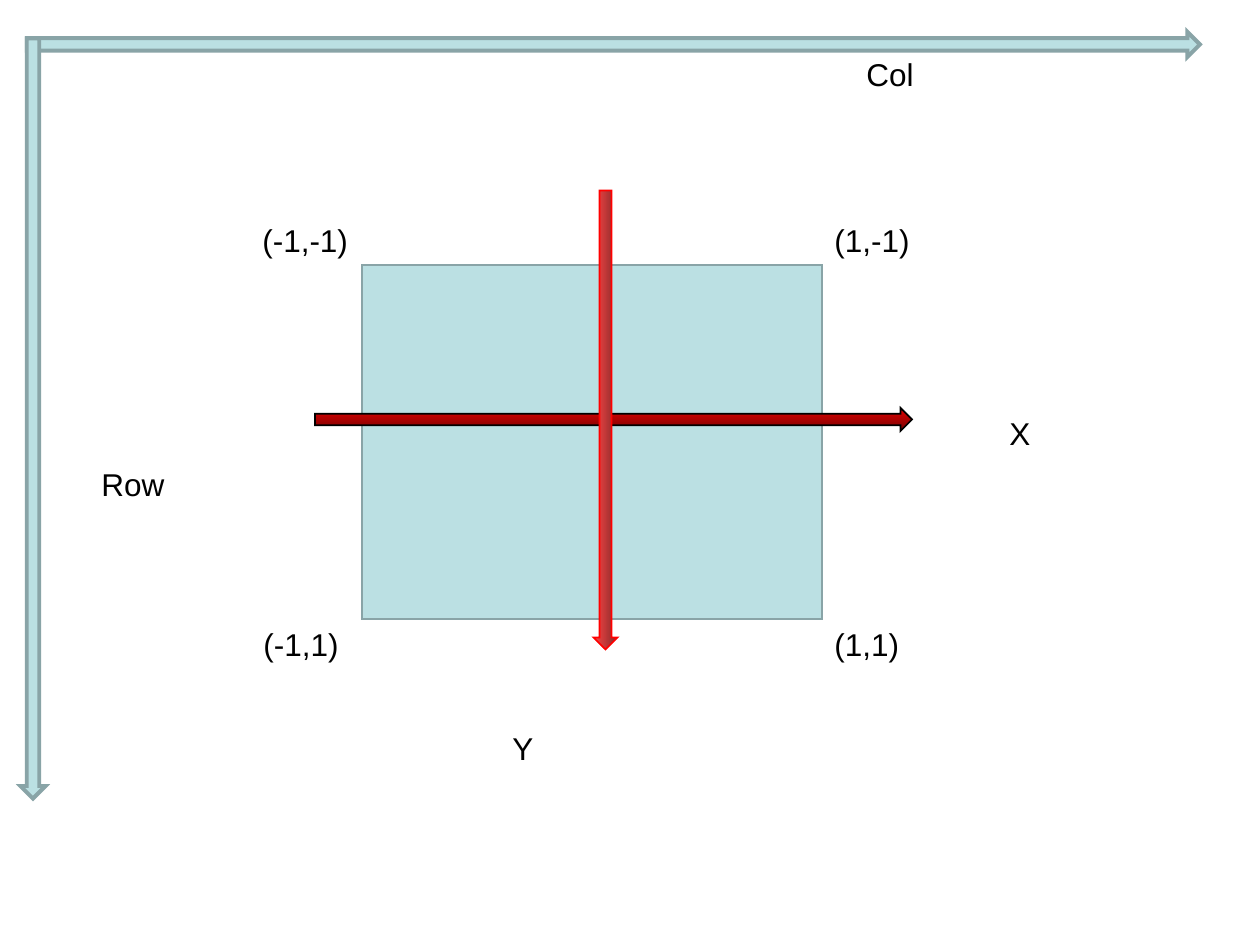
import lxml.etree
import pptx
import pptx.dml.color
import pptx.enum.shapes
import pptx.enum.text
import pptx.oxml.ns
import pptx.util

SCALE = 914400 / 126
KIND = pptx.enum.shapes.MSO_SHAPE
HUES = {
    "pale": "BBE0E3", "edge": "89A4A7", "text": "000000", "red": "FF0000",
    "xtop": "E30000", "xend": "760303", "ytop": "FE4444", "yend": "832B2B",
}


def px(num):
    return pptx.util.Emu(round(num * SCALE))


def hue(name):
    return pptx.dml.color.RGBColor.from_string(HUES[name])


def add_form(slide, kind, box, line, width):
    form = slide.shapes.add_shape(kind, *map(px, box))
    form.shadow.inherit = False
    form.fill.solid()
    form.fill.fore_color.rgb = hue("pale")
    form.line.color.rgb = hue(line)
    form.line.width = pptx.util.Pt(width)
    edge = form._element.spPr.find(pptx.oxml.ns.qn("a:ln"))
    join = lxml.etree.SubElement(edge, pptx.oxml.ns.qn("a:miter"))
    join.set("lim", "800000")
    return form


def add_arrow(slide, box, line="edge", width=2.25, turn=0):
    arrow = add_form(slide, KIND.RIGHT_ARROW, box, line, width)
    arrow.rotation = turn
    return arrow


def shade(form, start, end, angle):
    form.fill.gradient()
    form.fill.gradient_angle = angle
    for stop, name in zip(form.fill.gradient_stops, (start, end)):
        stop.color.rgb = hue(name)
    grad = form._element.spPr.find(pptx.oxml.ns.qn("a:gradFill"))
    grad.set("rotWithShape", "0")


def add_label(slide, text, left, top, width):
    box = slide.shapes.add_textbox(*map(px, (left, top, width, 51)))
    frame = box.text_frame
    frame.word_wrap = False
    frame.auto_size = pptx.enum.text.MSO_AUTO_SIZE.SHAPE_TO_FIT_TEXT
    para = frame.paragraphs[0]
    para.text = text
    para.font.name = "Arial"
    para.font.size = pptx.util.Pt(18)
    para.font.color.rgb = hue("text")


def main():
    deck = pptx.Presentation()
    deck.slide_width, deck.slide_height = px(1260), px(945)
    slide = deck.slides.add_slide(deck.slide_layouts[6])

    add_form(slide, KIND.RECTANGLE, (362, 265, 460, 354), "edge", 1)
    axis = add_arrow(slide, (315, 408, 597, 23), "text", 1)
    shade(axis, "xtop", "xend", 270)
    axis = add_arrow(slide, (376, 408, 459, 24), "red", 1, 90)
    shade(axis, "ytop", "yend", 0)
    add_arrow(slide, (27, 32, 1173, 25))
    add_arrow(slide, (-347, 406, 760, 25), turn=90)

    labels = [
        ("X", 997, 408, 48), ("Y", 500, 723, 48),
        ("(1,-1)", 822, 215, 103), ("(1,1)", 822, 619, 93),
        ("(-1,1)", 251, 619, 103), ("(-1,-1)", 250, 215, 114),
        ("Col", 854, 49, 76), ("Row", 89, 459, 92),
    ]
    for label in labels:
        add_label(slide, *label)
    deck.save("out.pptx")


if __name__ == "__main__":
    main()
